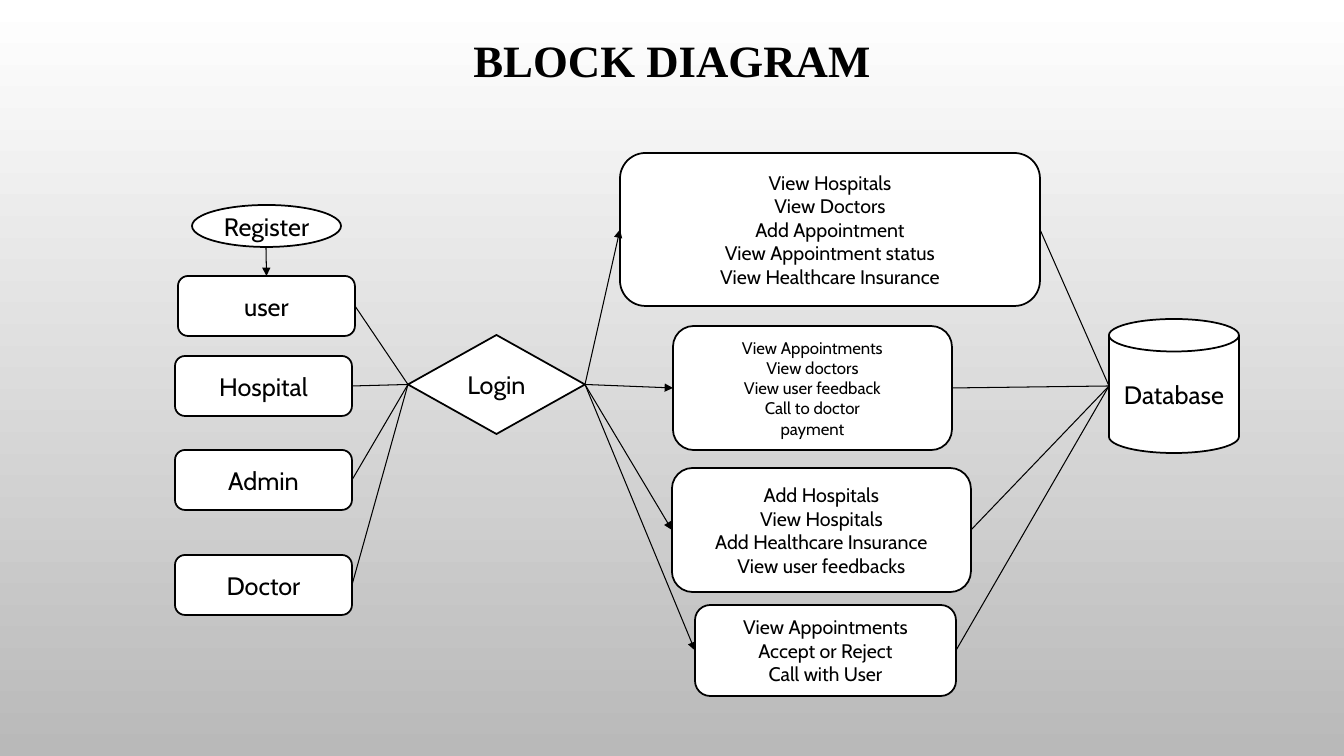
from lxml import etree
from pptx import Presentation
from pptx import util as u
from pptx.dml.color import RGBColor
from pptx.enum import shapes, text
from pptx.oxml import ns

PX = 914400 / 100.8
BLACK = RGBColor(0x00, 0x00, 0x00)
WHITE = RGBColor(0xFF, 0xFF, 0xFF)
GREY = RGBColor(0xB9, 0xB9, 0xB9)
KIND = shapes.MSO_SHAPE
LEFT, RIGHT = 1, 3


def px(*sizes):
    return [u.Emu(round(size * PX)) for size in sizes]


deck = Presentation()
deck.slide_width, deck.slide_height = px(1344, 756)
slide = deck.slides.add_slide(deck.slide_layouts[6])

back = slide.background.fill
back.gradient()
back.gradient_angle = 270
for stop, place, color in zip(back.gradient_stops, (0, 1), (WHITE, GREY)):
    stop.position = place
    stop.color.rgb = color

title = slide.shapes.add_textbox(*px(105, 13, 1134, 99)).text_frame
title.word_wrap = True
title.vertical_anchor = text.MSO_ANCHOR.MIDDLE
head = title.paragraphs[0]
head.text = "BLOCK DIAGRAM"
head.alignment = text.PP_ALIGN.CENTER
head.line_spacing = 0.9
head.font.name = "Times New Roman"
head.font.size = u.Pt(32)
head.font.bold = True
head.font.color.rgb = BLACK

BOX = KIND.ROUNDED_RECTANGLE
blocks = [
    ("register", KIND.OVAL, (192, 205, 149, 42), 18, ["Register"]),
    ("user", BOX, (178, 276, 177, 60), 18, ["user"]),
    ("hospital", BOX, (175, 356, 177, 60), 18, ["Hospital"]),
    ("admin", BOX, (175, 450, 177, 60), 18, ["Admin"]),
    ("doctor", BOX, (175, 555, 177, 60), 18, ["Doctor"]),
    ("login", KIND.DIAMOND, (408, 335, 177, 99), 18, ["Login"]),
    ("user tasks", BOX, (620, 153, 420, 153), 14,
     ["View Hospitals", "View Doctors", "Add Appointment",
      "View Appointment status", "View Healthcare Insurance"]),
    ("hospital tasks", BOX, (673, 326, 279, 124), 12,
     ["View Appointments", "View doctors", "View user feedback",
      "Call to doctor", "payment"]),
    ("admin tasks", BOX, (672, 468, 299, 124), 14,
     ["Add Hospitals", "View Hospitals", "Add Healthcare Insurance",
      "View user feedbacks"]),
    ("doctor tasks", BOX, (695, 605, 261, 91), 14,
     ["View Appointments", "Accept or Reject", "Call with User"]),
    ("database", KIND.CAN, (1109, 319, 130, 134), 18, ["Database"]),
]
nodes = {}
for name, kind, place, size, lines in blocks:
    node = nodes[name] = slide.shapes.add_shape(kind, *px(*place))
    node.shadow.inherit = False
    node.fill.solid()
    node.fill.fore_color.rgb = WHITE
    node.line.color.rgb = BLACK
    node.line.width = u.Pt(1.25)
    frame = node.text_frame
    frame.vertical_anchor = text.MSO_ANCHOR.MIDDLE
    frame.text = "\n".join(lines)
    for para in frame.paragraphs:
        para.alignment = text.PP_ALIGN.CENTER
        para.font.name = "Cabin"
        para.font.size = u.Pt(size)
        para.font.color.rgb = BLACK


def link(start, end, arrow=False):
    """Draw a line; each end is an (x, y) point or a (node name, side) pair."""
    fixed = [(0, 0) if isinstance(spot[0], str) else spot for spot in (start, end)]
    line = slide.shapes.add_connector(
        shapes.MSO_CONNECTOR.STRAIGHT, *px(*fixed[0], *fixed[1]))
    for spot, join in ((start, line.begin_connect), (end, line.end_connect)):
        if isinstance(spot[0], str):
            join(nodes[spot[0]], spot[1])
    line.line.color.rgb = BLACK
    line.line.width = u.Pt(0.75)
    if arrow:
        tip = etree.SubElement(line.line._get_or_add_ln(), ns.qn("a:tailEnd"))
        tip.set("type", "triangle")
    etree.SubElement(line._element.spPr, ns.qn("a:effectLst"))


link((266, 247), ("user", 0), arrow=True)
for role in ("user", "hospital", "admin", "doctor"):
    tasks = f"{role} tasks"
    link((role, RIGHT), ("login", LEFT))
    link(("login", RIGHT), (tasks, LEFT), arrow=True)
    link((tasks, RIGHT), (1109, 386))

deck.save("out.pptx")
